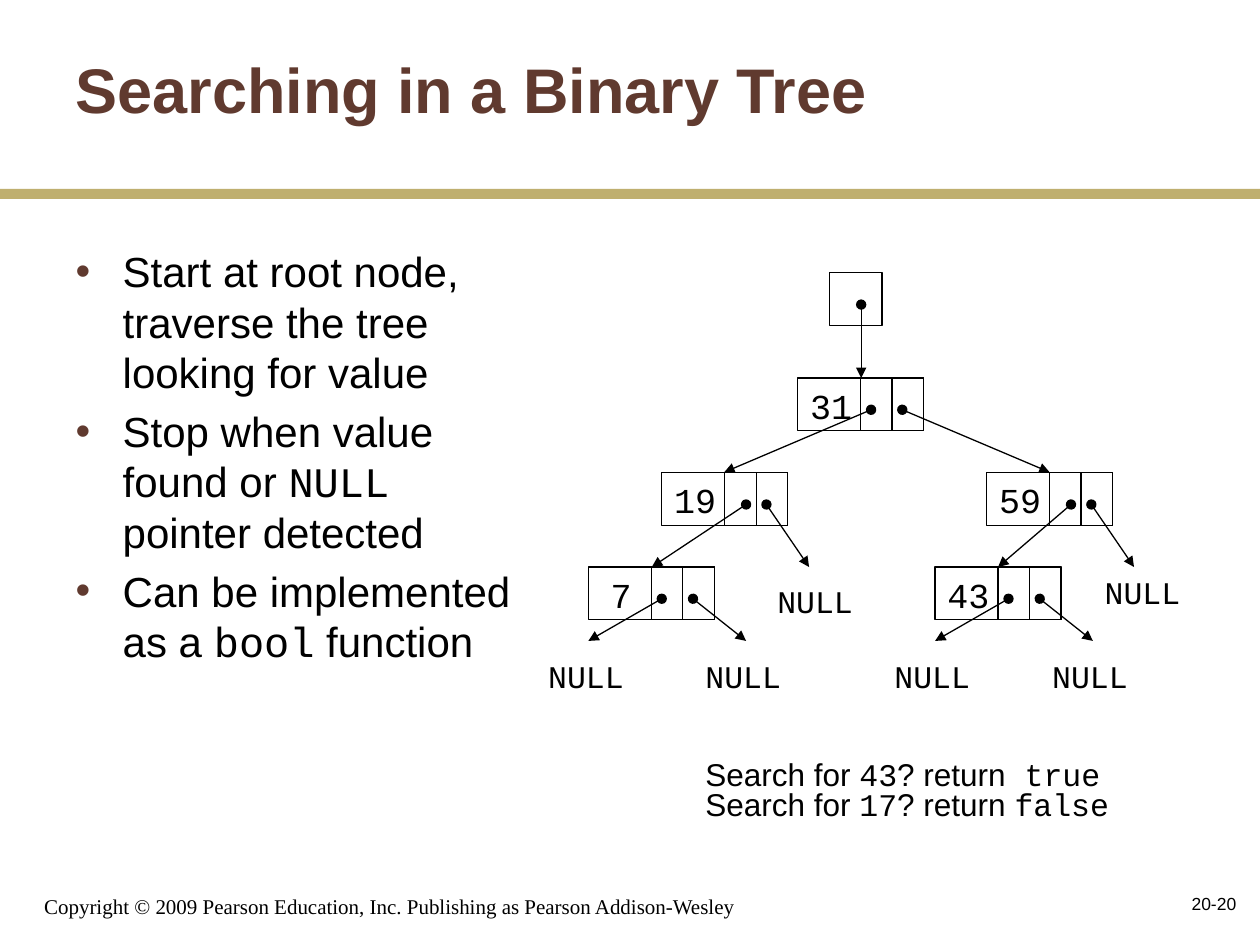
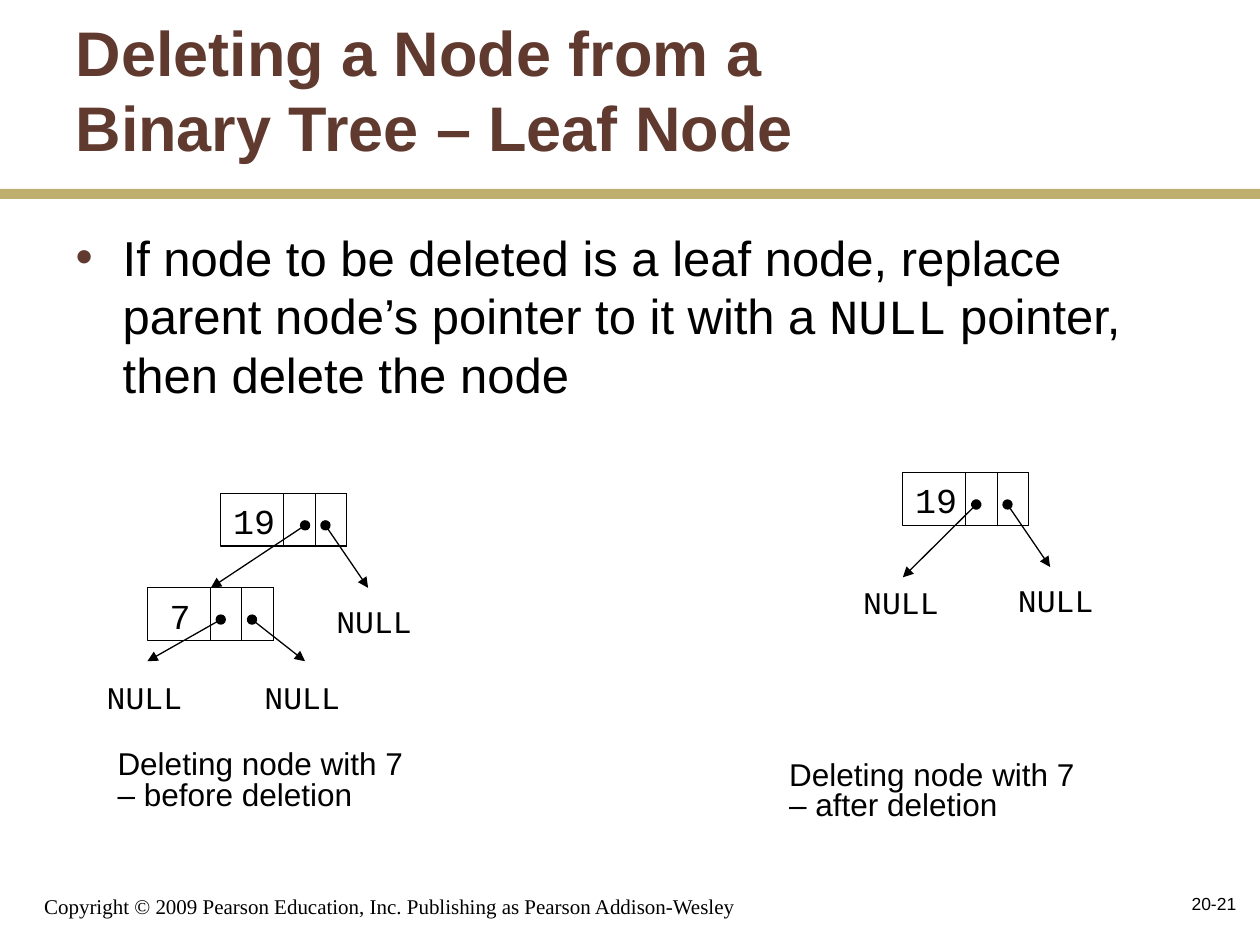
from pptx import Presentation
from pptx.dml.color import RGBColor
from pptx.enum.shapes import MSO_CONNECTOR, MSO_SHAPE
from pptx.enum.text import MSO_ANCHOR, MSO_AUTO_SIZE, PP_ALIGN
from pptx.oxml.ns import qn
from pptx.util import Cm, Pt
from lxml.etree import SubElement

BROWN = RGBColor(0x60, 0x3A, 0x2F)
GOLD = RGBColor(0xBF, 0xAF, 0x6F)
BLACK = RGBColor(0, 0, 0)
SANS, MONO, SERIF = "Arial", "Courier New", "Times New Roman"
TOP, MIDDLE, BOTTOM = MSO_ANCHOR.TOP, MSO_ANCHOR.MIDDLE, MSO_ANCHOR.BOTTOM
LEFT, RIGHT = PP_ALIGN.LEFT, PP_ALIGN.RIGHT
COPYRIGHT = "Copyright © 2009 Pearson Education, Inc. Publishing as Pearson Addison-Wesley"
NODE_W, NODE_H, POINTER_W = 2.54, 1.06, 0.635
DOT_Y, RIGHT_DOT, INNER_DOT, LEAF_DOT = 0.64, 2.11, 1.7, 1.48

# Each node: value, x, y, left dot, left arrow end, right arrow end (ends are offsets).
SLIDES = [
    {
        "number": "20-20",
        "title": ["Searching in a Binary Tree"],
        "body_box": (1.27, 4.83, 9.53, 10.29),
        "body_size": 24,
        "body": [
            [("Start at root node, traverse the tree looking for value", SANS)],
            [("Stop when value found or ", SANS), ("NULL", MONO), (" pointer detected", SANS)],
            [("Can be implemented as a ", SANS), ("bool", MONO), (" function", SANS)],
        ],
        "root_pointer": (16.72, 5.5),
        "nodes": [
            ("31", 16.08, 7.62, LEAF_DOT, (-1.48, 1.9), (5.08, 1.9)),
            ("59", 19.89, 9.53, INNER_DOT, (0.23, 1.9), (2.97, 1.9)),
            ("19", 13.34, 9.53, INNER_DOT, (-0.2, 1.9), (2.97, 1.9)),
            ("7", 11.86, 11.43, LEAF_DOT, (0, 1.49), (3.18, 1.49)),
            ("43", 18.85, 11.43, LEAF_DOT, (0, 1.49), (3.18, 1.49)),
        ],
        "nulls": [(15.42, 11.61), (22.02, 11.43), (10.8, 13.13),
                  (13.97, 13.13), (17.78, 13.13), (20.96, 13.13)],
        "captions": [
            (13.97, 15.24, 8.64, False, [
                [("Search for ", SANS), ("43", MONO), ("? return", SANS), (" true", MONO)],
                [("Search for ", SANS), ("17", MONO), ("? return ", SANS), ("false", MONO)],
            ]),
        ],
    },
    {
        "number": "20-21",
        "title": ["Deleting a Node from a ", "Binary Tree – Leaf Node"],
        "body_box": (1.27, 4.45, 23.06, 4.45),
        "body_size": 28,
        "body": [
            [("If node to be deleted is a leaf node, replace parent node’s pointer to it with a ", SANS),
             ("NULL", MONO), (" pointer, then delete the node", SANS)],
        ],
        "root_pointer": None,
        "nodes": [
            ("19", 4.45, 9.95, INNER_DOT, (-0.2, 1.9), (2.97, 1.9)),
            ("7", 2.97, 11.85, LEAF_DOT, (0, 1.48), (3.18, 1.48)),
            ("19", 18.2, 9.53, LEAF_DOT, (0, 2.11), (2.97, 1.9)),
        ],
        "nulls": [(6.53, 12.01), (1.9, 13.54), (5.08, 13.54), (20.27, 11.58), (17.15, 11.63)],
        "captions": [
            (2.12, 15.03, 6.6, True, [[("Deleting node with 7 – before deletion", SANS)]]),
            (15.66, 15.24, 6.6, True, [[("Deleting node with 7 – after deletion", SANS)]]),
        ],
    },
]


def add_runs(p, runs, size, color=BLACK, bold=False):
    for text, font in runs:
        r = p.add_run()
        r.text = text
        r.font.name = font
        r.font.size = Pt(size)
        r.font.bold = bold
        r.font.color.rgb = color


def place(sp, x, y, w, h):
    sp.left, sp.top, sp.width, sp.height = Cm(x), Cm(y), Cm(w), Cm(h)


prs = Presentation()
prs.slide_width, prs.slide_height = Cm(25.4), Cm(19.05)

for data in SLIDES:
    s = prs.slides.add_slide(prs.slide_layouts[1])

    band = s.shapes.add_shape(MSO_SHAPE.PENTAGON, 0, Cm(3.81), prs.slide_width, Cm(0.2))
    band.adjustments[0] = 0
    band.shadow.inherit = False
    band.fill.solid()
    band.fill.fore_color.rgb = GOLD
    band.line.fill.background()

    title = s.shapes.title
    place(title, 1.27, 0.2, 21.16, 3.18)
    tf = title.text_frame
    tf.auto_size = MSO_AUTO_SIZE.NONE
    tf.vertical_anchor = MIDDLE
    p = tf.paragraphs[0]
    p.alignment = LEFT
    for i, line in enumerate(data["title"]):
        if i:
            p.add_line_break()
        add_runs(p, [(line, SANS)], 36, BROWN, True)

    body = s.placeholders[1]
    place(body, *data["body_box"])
    tf = body.text_frame
    tf.auto_size = MSO_AUTO_SIZE.NONE
    for i, runs in enumerate(data["body"]):
        p = tf.add_paragraph() if i else tf.paragraphs[0]
        pPr = p._p.get_or_add_pPr()
        pPr.set("marL", str(Cm(0.95)))
        pPr.set("indent", str(-Cm(0.95)))
        color = SubElement(SubElement(pPr, qn("a:buClr")), qn("a:srgbClr"))
        color.set("val", str(BROWN))
        SubElement(pPr, qn("a:buFont")).set("typeface", SANS)
        SubElement(pPr, qn("a:buChar")).set("char", "•")
        p.space_before = Pt(data["body_size"] * 0.2 if i else 0)
        add_runs(p, runs, data["body_size"])

    cells, arrows, texts = [], [], []
    if data["root_pointer"]:
        x, y = data["root_pointer"]
        cells.append((x, y, NODE_H))
        arrows.append((x + 0.64, y + DOT_Y, x + 0.64, y + 2.12))
    for value, x, y, left_dot, left_end, right_end in data["nodes"]:
        cells += [(x, y, NODE_W),
                  (x + NODE_W - POINTER_W, y, POINTER_W),
                  (x + NODE_W - 2 * POINTER_W, y, POINTER_W)]
        for dot, (dx, dy) in ((left_dot, left_end), (RIGHT_DOT, right_end)):
            arrows.append((x + dot, y + DOT_Y, x + dx, y + dy))
        one_digit = len(value) == 1
        texts.append((x + 0.2 * one_digit, y, 0.94 if one_digit else 1.35, 1.09,
                      [[(value, MONO)]], 20, False, TOP, LEFT, 1.0))
    for x, y in data["nulls"]:
        texts.append((x, y, 2.03, 1.02, [[("NULL", MONO)]], 18, False, TOP, LEFT, 1.0))
    for x, y, w, wrap, paragraphs in data["captions"]:
        texts.append((x, y, w, 1.47, paragraphs, 18, wrap, TOP, LEFT, 0.8))
    texts.append((0.64, 17.58, 15.44, 1.07, [[(COPYRIGHT, SERIF)]], 12, True, BOTTOM, LEFT, 1.0))
    texts.append((19.89, 17.58, 5.28, 1.27, [[(data["number"], SANS)]], 10, True, MIDDLE, RIGHT, 1.0))

    for x, y, w in cells:
        sp = s.shapes.add_shape(MSO_SHAPE.RECTANGLE, Cm(x), Cm(y), Cm(w), Cm(NODE_H))
        sp.shadow.inherit = False
        sp.fill.background()
        sp.line.color.rgb = BLACK
        sp.line.width = Pt(0.75)

    for x1, y1, x2, y2 in arrows:
        arrow = s.shapes.add_connector(MSO_CONNECTOR.STRAIGHT, Cm(x1), Cm(y1), Cm(x2), Cm(y2))
        arrow.line.color.rgb = BLACK
        arrow.line.width = Pt(0.75)
        ln = arrow.line._get_or_add_ln()
        SubElement(ln, qn("a:headEnd")).set("type", "oval")
        SubElement(ln, qn("a:tailEnd")).set("type", "triangle")
        SubElement(arrow._element.spPr, qn("a:effectLst"))

    for x, y, w, h, paragraphs, size, wrap, anchor, align, spacing in texts:
        tf = s.shapes.add_textbox(Cm(x), Cm(y), Cm(w), Cm(h)).text_frame
        tf.word_wrap = wrap
        tf.vertical_anchor = anchor
        for i, runs in enumerate(paragraphs):
            p = tf.add_paragraph() if i else tf.paragraphs[0]
            p.alignment = align
            p.line_spacing = spacing
            add_runs(p, runs, size)

prs.save("out.pptx")
